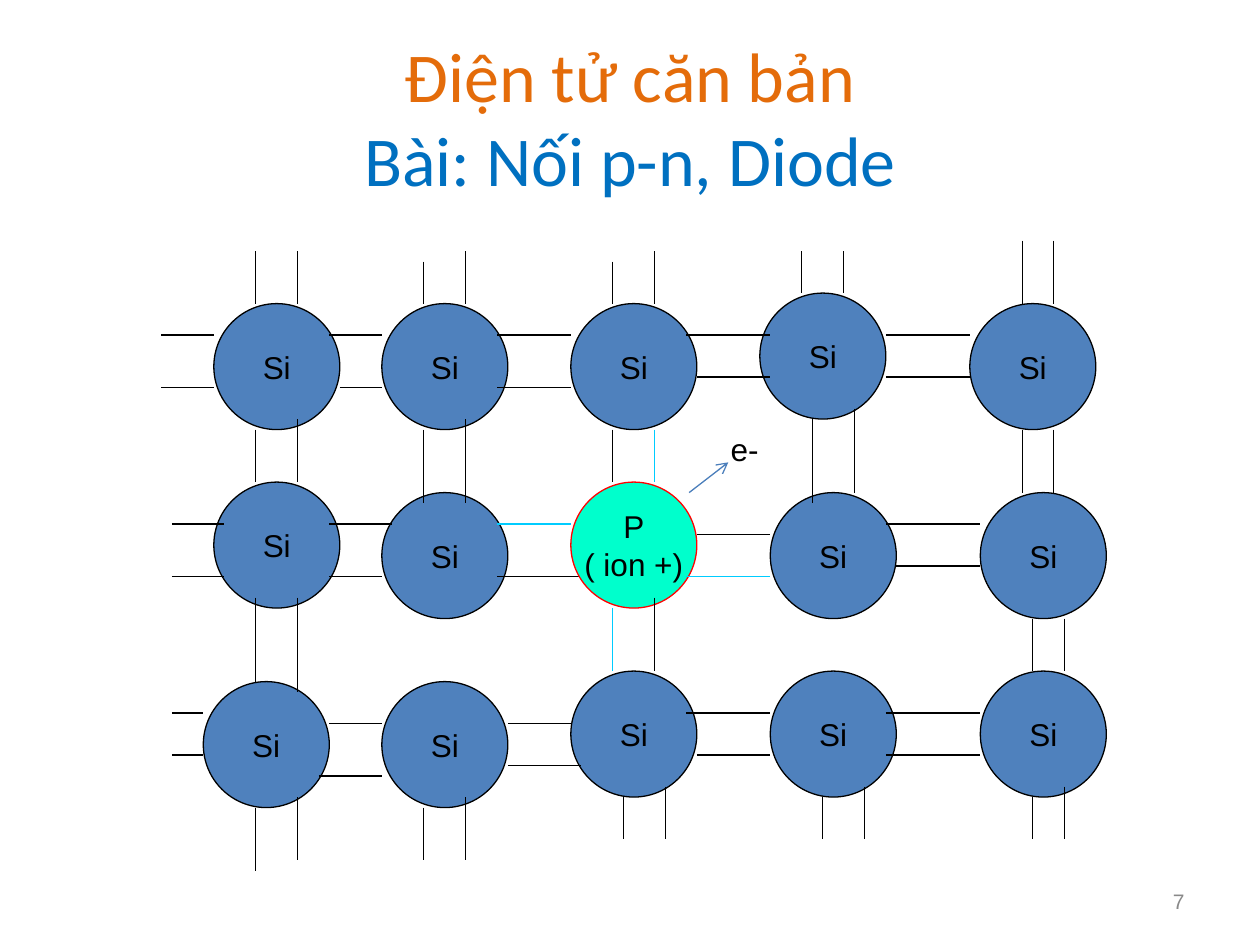
from lxml import etree
from pptx import Presentation
from pptx import util as u
from pptx.dml.color import RGBColor
from pptx.enum import shapes, text
from pptx.oxml.ns import qn

BLACK, CYAN, BLUE = "000000", "00CCFF", "4F81BD"
STEP, LEFT, TOP = 6, 2.2, -0.5


def color(value):
    return RGBColor.from_string(value)


def grid(col, row):
    return LEFT + STEP * col, TOP + STEP * row


class Deck:
    font = "Arial"
    size = 18
    weight = 0.75
    diameter = 72

    def __init__(self, prs):
        self.s = prs.slides.add_slide(prs.slide_layouts[6])

    def run(self, p, content, size, font, fill):
        r = p.add_run()
        r.text = content
        r.font.size = u.Pt(size)
        r.font.name = font
        r.font.color.rgb = color(fill)

    def text(self, box, runs, size=size, font=font, align=text.PP_ALIGN.LEFT,
             anchor=text.MSO_ANCHOR.MIDDLE):
        tf = self.s.shapes.add_textbox(*map(u.Pt, box)).text_frame
        tf.word_wrap = True
        tf.vertical_anchor = anchor
        p = tf.paragraphs[0]
        p.alignment = align
        for i, (content, fill) in enumerate(runs):
            if i:
                p.add_line_break()
            self.run(p, content, size, font, fill)

    def atom(self, col, row, lines=("Si",), fill=BLUE, line=BLACK):
        x, y = grid(col, row)
        sp = self.s.shapes.add_shape(shapes.MSO_SHAPE.OVAL, u.Pt(x), u.Pt(y),
                                     u.Pt(self.diameter), u.Pt(self.diameter))
        sp.shadow.inherit = False
        sp.fill.solid()
        sp.fill.fore_color.rgb = color(fill)
        sp.line.color.rgb = color(line)
        sp.line.width = u.Pt(self.weight)
        tf = sp.text_frame
        tf.word_wrap = False
        tf.vertical_anchor = text.MSO_ANCHOR.MIDDLE
        for i, content in enumerate(lines):
            p = tf.add_paragraph() if i else tf.paragraphs[0]
            p.alignment = text.PP_ALIGN.CENTER
            self.run(p, content, self.size, self.font, BLACK)

    def line(self, start, end, fill=BLACK):
        c = self.s.shapes.add_connector(shapes.MSO_CONNECTOR.STRAIGHT,
                                        *map(u.Pt, (*start, *end)))
        c.line.color.rgb = color(fill)
        c.line.width = u.Pt(self.weight)
        etree.SubElement(c._element.spPr, qn("a:effectLst"))
        return c

    def arrow(self, start, end, fill):
        ln = self.line(start, end, fill).line._get_or_add_ln()
        etree.SubElement(ln, qn("a:tailEnd"), type="arrow")

    def across(self, row, spans, fill=BLACK):
        for a, b in spans:
            self.line(grid(a, row), grid(b, row), fill)

    def down(self, col, spans, fill=BLACK):
        for a, b in spans:
            self.line(grid(col, a), grid(col, b), fill)


SILICON = [
    (20, 29), (36, 29), (54, 29), (72, 28), (92, 29),
    (20, 46), (36, 47), (73, 47), (93, 47),
    (19, 65), (36, 65), (54, 64), (73, 64), (93, 64),
]
ROW_BONDS = {
    32: [(15, 20), (31, 36), (47, 54), (65, 73), (84, 92)],
    36: [(66, 73), (84, 92)],
    37: [(15, 20), (32, 36), (47, 54)],
    50: [(16, 21), (31, 37), (84, 93)],
    51: [(66, 73)],
    54: [(85, 93)],
    55: [(16, 21), (31, 36)],
    68: [(16, 19), (65, 73), (84, 93)],
    69: [(31, 36), (48, 54)],
    72: [(16, 19), (66, 73), (84, 93)],
    73: [(48, 55)],
    74: [(30, 36)],
}
COLUMN_BONDS = {
    24: [(24, 29), (41, 46), (57, 65), (77, 83)],
    28: [(24, 29), (40, 46), (57, 66), (76, 82)],
    40: [(25, 29), (41, 48), (77, 82)],
    44: [(24, 29), (40, 48), (76, 82)],
    58: [(25, 29), (41, 46)],
    59: [(76, 80)],
    62: [(24, 29), (57, 64)],
    63: [(75, 80)],
    76: [(24, 28)],
    77: [(40, 48)],
    78: [(76, 80)],
    80: [(24, 28)],
    81: [(39, 47)],
    82: [(75, 80)],
    97: [(23, 29), (41, 47)],
    98: [(59, 64), (76, 80)],
    100: [(23, 29), (41, 47)],
    101: [(59, 64), (75, 80)],
}


def main():
    prs = Presentation()
    prs.slide_width, prs.slide_height = u.Pt(720), u.Pt(540)
    deck = Deck(prs)
    deck.text((36, 21.6, 648, 90),
              [("Điện tử căn bản", "E46C0A"), ("Bài: Nối p-n, Diode", "0070C0")],
              size=40, font="Calibri", align=text.PP_ALIGN.CENTER)
    deck.text((516, 500.5, 168, 28.8), [("7", "898989")], size=12,
              align=text.PP_ALIGN.RIGHT)
    for col, row in SILICON:
        deck.atom(col, row)
    deck.across(50, [(47, 54)], CYAN)
    deck.across(55, [(47, 55)])
    deck.atom(54, 46, ("P", "( ion +)"), "00FFCC", "FF0000")
    deck.across(55, [(65, 73)], CYAN)
    deck.down(62, [(41, 46)], CYAN)
    deck.down(58, [(58, 64)], CYAN)
    for row, spans in ROW_BONDS.items():
        deck.across(row, spans)
    for col, spans in COLUMN_BONDS.items():
        deck.down(col, spans)
    deck.text((410.4, 242, 39.6, 28.8), [("e-", BLACK)],
              anchor=text.MSO_ANCHOR.TOP)
    deck.arrow((393.8, 281.5), (416.2, 264.2), "4A7EBB")
    prs.save("out.pptx")


if __name__ == "__main__":
    main()
